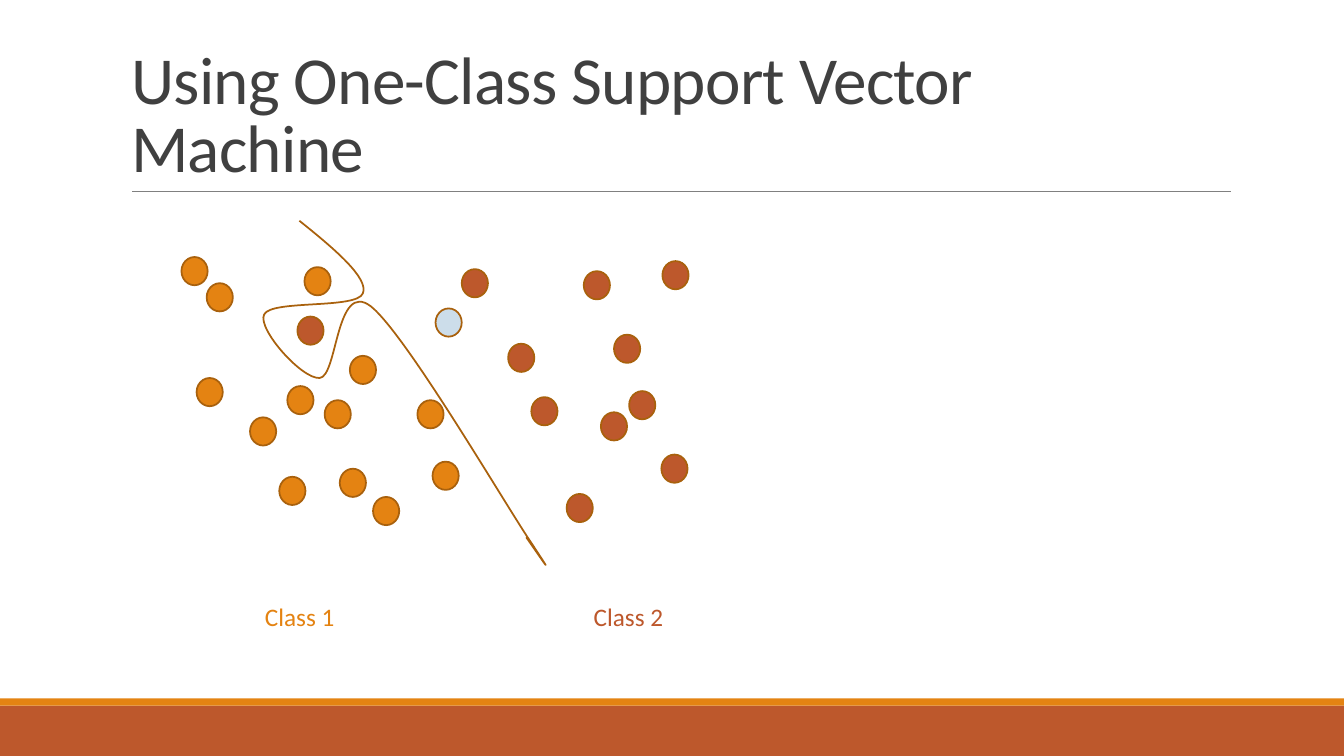
import pptx
import pptx.dml.color
import pptx.enum.shapes
import pptx.enum.text
import pptx.oxml.ns
import pptx.util
from lxml import etree

Inches, Pt = pptx.util.Inches, pptx.util.Pt
RGBColor = pptx.dml.color.RGBColor
MSO_SHAPE = pptx.enum.shapes.MSO_SHAPE
MSO_AUTO_SIZE = pptx.enum.text.MSO_AUTO_SIZE
qn = pptx.oxml.ns.qn

ORANGE = RGBColor(0xE4, 0x83, 0x12)
RUST = RGBColor(0xBD, 0x58, 0x2C)
PALE_BLUE = RGBColor(0xCC, 0xDD, 0xEA)
OUTLINE = RGBColor(0xA9, 0x61, 0x0D)
RULE_GREY = RGBColor(0x80, 0x80, 0x80)
TITLE_GREY = RGBColor(0x40, 0x40, 0x40)

DOT_WIDTH, DOT_HEIGHT = 0.26, 0.28
CLASS_1_DOTS = [
    (2.05, 2.81), (1.8, 2.55), (3.02, 2.65), (2.85, 3.83), (1.95, 3.75),
    (3.47, 3.53), (2.48, 4.14), (3.22, 3.97), (2.77, 4.73), (3.37, 4.65),
    (4.14, 3.97), (3.7, 4.93), (4.29, 4.58),
]
CLASS_2_DOTS = [
    (5.79, 2.69), (2.95, 3.14), (4.58, 2.67), (5.96, 4.09), (5.04, 3.41),
    (6.09, 3.32), (5.27, 3.94), (6.24, 3.88), (5.62, 4.9), (6.57, 2.59),
    (6.56, 4.51),
]
NEW_DOTS = [(4.32, 3.06)]

# Bezier boundary: a start point, then two controls and an end per curve
BOUNDARY_BOX = (2.61, 2.19, 2.8, 3.41)
BOUNDARY_START = (2.97, 2.19)
BOUNDARY_CURVES = [
    [(3.32, 2.47), (3.66, 2.76), (3.6, 2.91)],
    [(3.54, 3.07), (2.69, 2.97), (2.62, 3.12)],
    [(2.55, 3.26), (2.99, 3.76), (3.17, 3.75)],
    [(3.35, 3.74), (3.33, 2.77), (3.68, 3.04)],
    [(4.03, 3.32), (5.02, 5.02), (5.28, 5.4)],
    [(5.53, 5.78), (5.38, 5.56), (5.22, 5.33)],
]


def apply_format(target, values):
    for name, value in values.items():
        setattr(target, name, value)


def place(shape, box):
    apply_format(shape, dict(zip(("left", "top", "width", "height"),
                                 map(Inches, box))))


def set_outline(line, color, width):
    line.color.rgb = color
    line.width = Pt(width)


def format_run(run, size, color):
    apply_format(run.font, {"name": "Calibri", "size": Pt(size)})
    run.font.color.rgb = color


def add_filled_shape(slide, kind, box, fill, outline=None):
    shape = slide.shapes.add_shape(kind, *map(Inches, box))
    shape.shadow.inherit = False
    shape.fill.solid()
    shape.fill.fore_color.rgb = fill
    if outline is None:
        shape.line.fill.background()
    else:
        set_outline(shape.line, outline, 1.25)
    return shape


def add_rule(slide, left, right, top):
    rule = slide.shapes.add_connector(
        pptx.enum.shapes.MSO_CONNECTOR.STRAIGHT,
        Inches(left), Inches(top), Inches(right), Inches(top))
    set_outline(rule.line, RULE_GREY, 0.5)
    etree.SubElement(rule._element.spPr, qn("a:effectLst"))
    return rule


def move_to_layout(slide, shapes):
    layout_tree = slide.slide_layout.shapes._spTree
    for shape in shapes:
        layout_tree.append(shape._element)


def add_title(slide, text):
    title = slide.shapes.title
    place(title, (1.2, 0.31, 11, 1.59))
    apply_format(title.text_frame, {
        "text": text, "word_wrap": True, "auto_size": MSO_AUTO_SIZE.NONE,
        "vertical_anchor": pptx.enum.text.MSO_ANCHOR.BOTTOM})
    paragraph = title.text_frame.paragraphs[0]
    apply_format(paragraph, {"alignment": pptx.enum.text.PP_ALIGN.LEFT,
                             "line_spacing": 0.85})
    run = paragraph.runs[0]
    format_run(run, 48, TITLE_GREY)
    run._r.get_or_add_rPr().set("spc", "-50")


def add_dots(slide, positions, fill):
    for left, top in positions:
        add_filled_shape(slide, MSO_SHAPE.OVAL,
                         (left, top, DOT_WIDTH, DOT_HEIGHT), fill, OUTLINE)


def add_path_command(outline, tag, points):
    left, top = BOUNDARY_BOX[:2]
    command = etree.SubElement(outline, qn(tag))
    for x, y in points:
        etree.SubElement(command, qn("a:pt"), x=str(Inches(x - left)),
                         y=str(Inches(y - top)))


def add_boundary(slide):
    builder = slide.shapes.build_freeform(*map(Inches, BOUNDARY_START))
    builder.add_line_segments(
        [tuple(map(Inches, curve[-1])) for curve in BOUNDARY_CURVES], close=False)
    boundary = builder.convert_to_shape()
    place(boundary, BOUNDARY_BOX)
    boundary.shadow.inherit = False
    boundary.fill.background()
    set_outline(boundary.line, OUTLINE, 1.25)

    # Bend the straight segments into cubic curves
    outline = next(boundary._element.iter(qn("a:path")))
    for command in list(outline):
        outline.remove(command)
    outline.set("w", str(boundary.width))
    outline.set("h", str(boundary.height))
    add_path_command(outline, "a:moveTo", [BOUNDARY_START])
    for curve in BOUNDARY_CURVES:
        add_path_command(outline, "a:cubicBezTo", curve)


def add_label(slide, left, text, color):
    label = slide.shapes.add_textbox(
        Inches(left), Inches(5.92), Inches(0.9), Inches(0.4))
    apply_format(label.text_frame, {
        "text": text, "word_wrap": False,
        "auto_size": MSO_AUTO_SIZE.SHAPE_TO_FIT_TEXT})
    format_run(label.text_frame.paragraphs[0].runs[0], 18, color)


def main():
    presentation = pptx.Presentation()
    apply_format(presentation, {"slide_width": Inches(13.33),
                                "slide_height": Inches(7.5)})
    slide = presentation.slides.add_slide(presentation.slide_layouts[5])

    # Footer bands and rule belong to the layout
    move_to_layout(slide, [
        add_filled_shape(slide, MSO_SHAPE.RECTANGLE, (0, 7, 13.33, 0.5), RUST),
        add_filled_shape(slide, MSO_SHAPE.RECTANGLE, (0, 6.93, 13.33, 0.07), ORANGE),
        add_rule(slide, 1.31, 12.21, 1.9),
    ])
    add_title(slide, "Using One-Class Support Vector Machine")

    # Scatter of both classes with the decision boundary
    add_dots(slide, CLASS_1_DOTS, ORANGE)
    add_dots(slide, CLASS_2_DOTS, RUST)
    add_boundary(slide)
    add_label(slide, 2.53, "Class 1", ORANGE)
    add_label(slide, 5.79, "Class 2", RUST)
    add_dots(slide, NEW_DOTS, PALE_BLUE)

    presentation.save("out.pptx")


if __name__ == "__main__":
    main()
